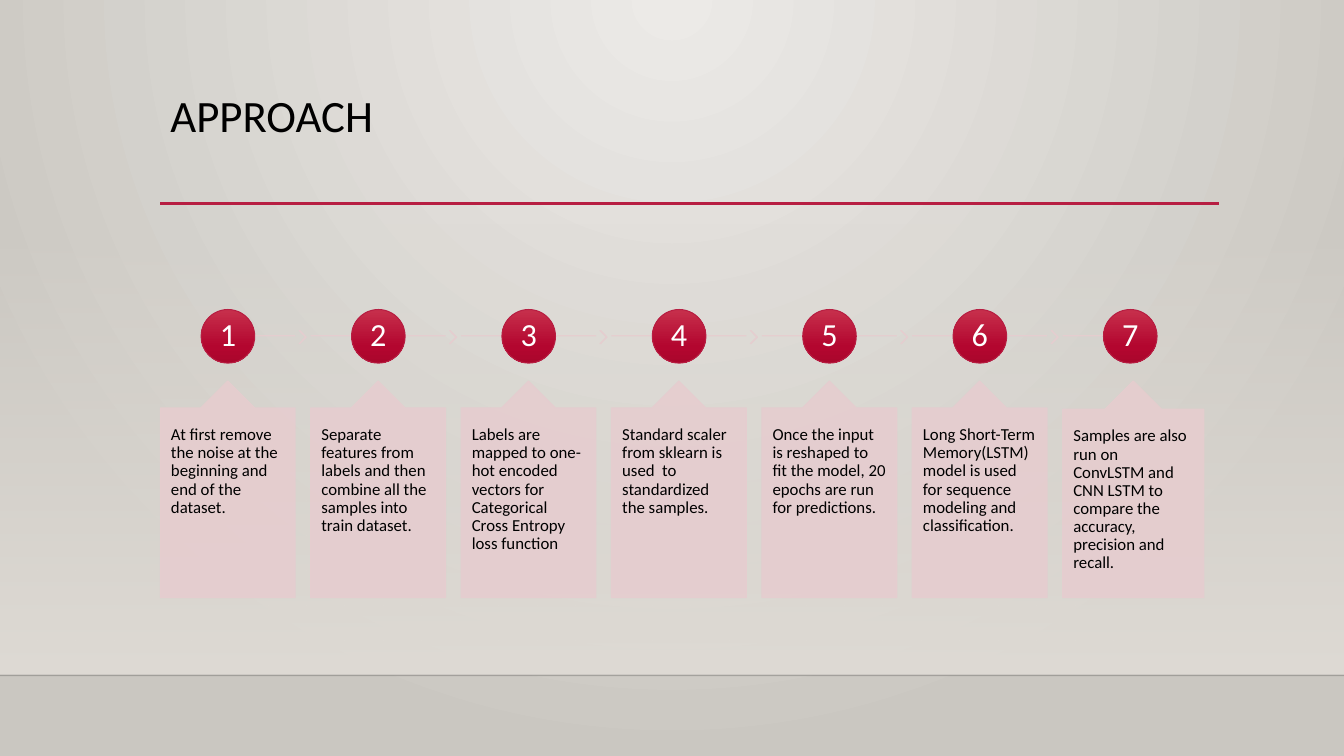
from lxml.etree import SubElement
from pptx import Presentation
from pptx.dml.color import RGBColor
from pptx.enum.shapes import MSO_CONNECTOR, MSO_SHAPE
from pptx.enum.text import MSO_ANCHOR, PP_ALIGN
from pptx.oxml.ns import qn
from pptx.util import Cm, Pt

BLACK = RGBColor(0x00, 0x00, 0x00)
WHITE = RGBColor(0xFF, 0xFF, 0xFF)
RED = RGBColor(0xB7, 0x1E, 0x42)
PINK = RGBColor(0xE6, 0xCD, 0xCF)
EDGE = RGBColor(0x00, 0x00, 0x01)
SAND = RGBColor(0xDF, 0xDB, 0xD5)
GLOW = [(0, RGBColor(0xEC, 0xEA, 0xE7), 100), (100, RGBColor(0xCA, 0xC7, 0xC1), 100)]
HAZE = [(0, SAND, 0), (100, SAND, 100)]
BALL = [(0, RGBColor(0xC7, 0x30, 0x4C), 100), (69, RGBColor(0xB3, 0x06, 0x2F), 100),
        (100, RGBColor(0xAA, 0x06, 0x2C), 100)]

WIDTH, HEIGHT = 33.87, 19.05
LEFT, PITCH, BOX = 4.04, 3.79, 3.4
STEPS = [
    "At first remove the noise at the beginning and end of the dataset.",
    "Separate features from labels and then combine all the samples into train dataset.",
    "Labels are mapped to one-hot encoded vectors for Categorical Cross Entropy loss function",
    "Standard scaler from sklearn is used  to standardized the samples.",
    "Once the input is reshaped to fit the model, 20 epochs are run for predictions.",
    "Long Short-Term Memory(LSTM) model is used for sequence modeling and classification.",
    "Samples are also run on ConvLSTM and CNN LSTM to compare the accuracy, precision and recall.",
]


def fade(node, alpha):
    """Set the opacity, in percent, of every colour under node."""
    for color in node.iter(qn("a:srgbClr")):
        SubElement(color, qn("a:alpha"), val=str(alpha * 1000))


def blend(fill, owner, stops, center=None):
    """Fill owner with a vertical gradient, or a round one about center."""
    fill.gradient()
    grad = next(owner.iter(qn("a:gradFill")))
    for child in list(grad):
        grad.remove(child)
    items = SubElement(grad, qn("a:gsLst"))
    for pos, color, alpha in stops:
        stop = SubElement(items, qn("a:gs"), pos=str(pos * 1000))
        tone = SubElement(stop, qn("a:srgbClr"), val=str(color))
        if alpha < 100:
            SubElement(tone, qn("a:alpha"), val=str(alpha * 1000))
    if center:
        track = SubElement(grad, qn("a:path"), path="circle")
        sides = {side: str(part * 1000) for side, part in zip("ltrb", center)}
        SubElement(track, qn("a:fillToRect"), **sides)
    else:
        SubElement(grad, qn("a:lin"), ang="5400000", scaled="0")


class Deck:
    def __init__(self, font):
        self.font = font
        self.show = Presentation()
        self.show.slide_width, self.show.slide_height = Cm(WIDTH), Cm(HEIGHT)
        self.slide = self.show.slides.add_slide(self.show.slide_layouts[5])
        self.shapes = self.slide.shapes

    def ground(self, stops, center):
        blend(self.slide.background.fill, self.slide.element, stops, center)

    def label(self, shape, text, size, color, align, anchor, pads=None):
        frame = shape.text_frame
        frame.text = text
        frame.word_wrap = True
        frame.vertical_anchor = anchor
        if pads:
            frame.margin_left = frame.margin_right = Cm(pads[0])
            frame.margin_top = frame.margin_bottom = Cm(pads[1])
        line = frame.paragraphs[0]
        line.alignment, line.line_spacing = align, 0.9
        font = line.runs[0].font
        font.name, font.size, font.color.rgb = self.font, Pt(size), color

    def title(self, text, x, y, w, h):
        title = self.shapes.title
        title.left, title.top, title.width, title.height = Cm(x), Cm(y), Cm(w), Cm(h)
        self.label(title, text, 32, BLACK, PP_ALIGN.LEFT, MSO_ANCHOR.TOP)
        title.element.getparent().append(title.element)  # in front of the haze

    def line(self, x, y, end, color, width, alpha=100):
        line = self.shapes.add_connector(MSO_CONNECTOR.STRAIGHT, Cm(x), Cm(y), Cm(end), Cm(y))
        line.line.color.rgb, line.line.width = color, Pt(width)
        fade(line.element, alpha)
        SubElement(line.element.spPr, qn("a:effectLst"))

    def shape(self, kind, x, y, w, h, edge=None, adjust=()):
        shape = self.shapes.add_shape(kind, Cm(x), Cm(y), Cm(w), Cm(h))
        shape.shadow.inherit = False
        for i, value in enumerate(adjust):
            shape.adjustments[i] = value
        if edge is None:
            shape.line.fill.background()
        else:
            shape.line.color.rgb, shape.line.width = edge, Pt(0.75)
        return shape

    def haze(self, y, h):
        shape = self.shape(MSO_SHAPE.RECTANGLE, 0, y, WIDTH, h)
        blend(shape.fill, shape.element, HAZE)

    def pale(self, kind, x, y, w, h, adjust):
        shape = self.shape(kind, x, y, w, h, PINK, adjust)
        shape.fill.solid()
        shape.fill.fore_color.rgb = PINK
        fade(shape.element, 90)
        return shape

    def ball(self, text, x, y, size):
        shape = self.shape(MSO_SHAPE.OVAL, x, y, size, size, RED)
        blend(shape.fill, shape.element, BALL)
        self.label(shape, text, 23, WHITE, PP_ALIGN.CENTER, MSO_ANCHOR.MIDDLE, (0.05, 0.05))

    def step(self, i, text):
        x = LEFT + i * PITCH
        first, last = i == 0, i == len(STEPS) - 1
        start = x + 1.9 if first else x
        end = x + BOX / 2 if last else x + BOX
        self.line(start, 8.46, end, PINK, 0.75, 90)
        if not last:
            self.pale(MSO_SHAPE.CHEVRON, x + 3.5, 8.33, 0.18, 0.33, [0.9])
        self.ball(str(i + 1), x + 1.03, 7.8, 1.35)
        card = self.pale(MSO_SHAPE.UP_ARROW_CALLOUT, x, 9.6, 3.56 if last else BOX, 5.46,
                         [0.5, 0.2, 0.2, 1])
        self.label(card, text, 12, BLACK, PP_ALIGN.LEFT, MSO_ANCHOR.TOP, (0.27, 0.46))


def main():
    deck = Deck("Calibri")
    deck.ground(GLOW, (43, 0, 43, 100))
    deck.haze(5.61, 11.4)
    deck.line(0, 17.02, WIDTH, EDGE, 1, 20)
    deck.line(LEFT, 5.13, 30.73, RED, 2.5)
    deck.title("APPROACH", LEFT, 2.24, 26.67, 2.92)
    for i, text in enumerate(STEPS):
        deck.step(i, text)
    deck.show.save("out.pptx")


if __name__ == "__main__":
    main()
